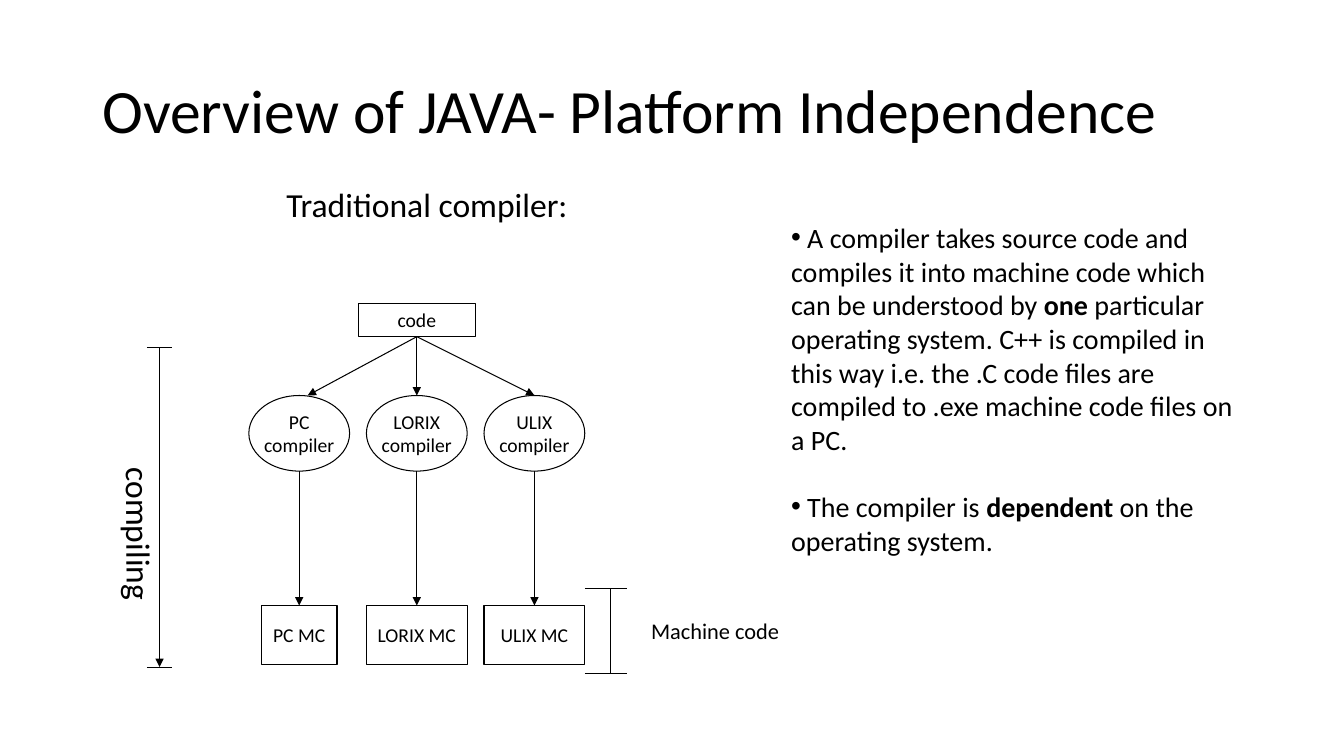
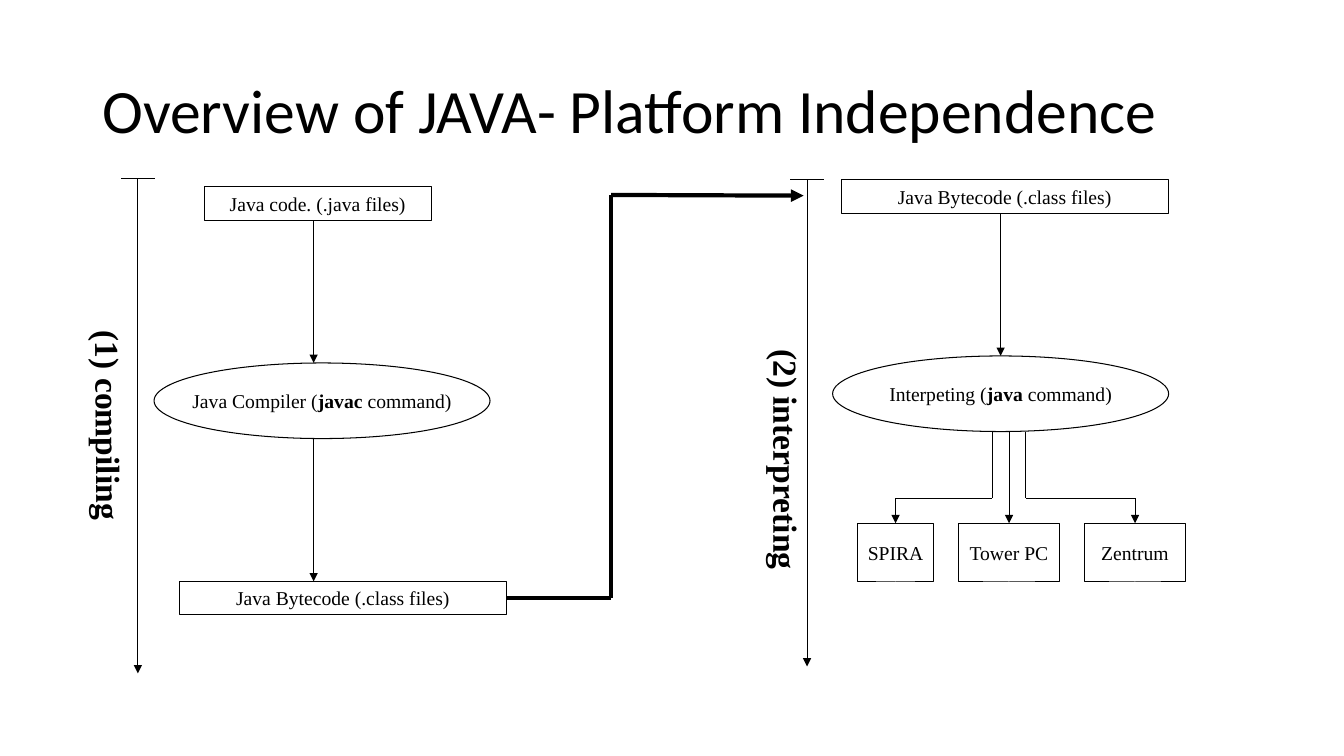
from dataclasses import dataclass, replace
from itertools import pairwise

from lxml.etree import SubElement
from pptx import Presentation
from pptx.dml.color import RGBColor
from pptx.enum.shapes import MSO_CONNECTOR as Link, MSO_SHAPE as Preset
from pptx.enum.text import MSO_ANCHOR as Anchor, PP_ALIGN as Align
from pptx.oxml.ns import qn
from pptx.util import Pt


@dataclass(frozen=True)
class Theme:
    """Colours, fonts, type sizes and line widths, sizes in points."""

    ink: RGBColor = RGBColor(0, 0, 0)
    paper: RGBColor = RGBColor(255, 255, 255)
    sans: str = "Calibri"
    serif: str = "Times New Roman"
    title: float = 44
    heading: float = 24
    body: float = 20
    note: float = 16
    node: float = 14
    thin: float = 0.75
    thick: float = 3


@dataclass(frozen=True)
class Box:
    """A rectangle in points."""

    left: float
    top: float
    width: float
    height: float

    @property
    def middle(self):
        """Horizontal centre."""
        return self.left + self.width / 2

    @property
    def right(self):
        """Right edge."""
        return self.left + self.width

    @property
    def bottom(self):
        """Bottom edge."""
        return self.top + self.height

    def inner(self, left, top, width, height):
        """Return a box placed relative to this one."""
        return Box(self.left + left, self.top + top, width, height)

    def lengths(self):
        """Return the four lengths for python-pptx."""
        return Pt(self.left), Pt(self.top), Pt(self.width), Pt(self.height)


THEME = Theme()
TITLE = "Overview of JAVA- Platform Independence"
BYTECODE = "Java Bytecode (.class files)"
SYSTEMS = ("PC", "LORIX", "ULIX")
PROCESSORS = ("SPIRA", "Tower PC", "Zentrum")
EXPLANATION = (
    " A compiler takes source code and compiles it into machine code which can be "
    "understood by **one** particular operating system. C++ is compiled in this way i.e. "
    "the .C code files are compiled to .exe machine code files on a PC.\n"
    " The compiler is **dependent** on the operating system."
)


def write(shape, text, size=THEME.node, font=THEME.sans, bold=False, align=Align.LEFT,
          anchor=Anchor.TOP, wrap=False, spacing=None, gap=0, bullet=None):
    """Fill a shape with lines of text, where ** switches bold on and off."""
    frame = shape.text_frame
    frame.word_wrap = wrap
    frame.vertical_anchor = anchor
    for index, line in enumerate(text.split("\n")):
        paragraph = frame.add_paragraph() if index else frame.paragraphs[0]
        paragraph.alignment = align
        paragraph.line_spacing = spacing
        paragraph.space_before = Pt(gap if index else 0)
        if bullet:
            SubElement(paragraph._p.get_or_add_pPr(), qn("a:buFont"), typeface="Arial")
            SubElement(paragraph._p.get_or_add_pPr(), qn("a:buChar"), char=bullet)
        for turn, words in enumerate(line.split("**")):
            run = paragraph.add_run()
            run.text = words
            run.font.size = Pt(size)
            run.font.name = font
            run.font.bold = bold or turn % 2 == 1
            run.font.color.rgb = THEME.ink


def label(slide, box, text, turn=0, **style):
    """Place free text, turned by the given degrees."""
    caption = slide.shapes.add_textbox(*box.lengths())
    caption.rotation = turn
    write(caption, text, **style)


def node(slide, box, text, preset=Preset.RECTANGLE, **style):
    """Draw an outlined diagram node with centred text."""
    shape = slide.shapes.add_shape(preset, *box.lengths())
    shape.shadow.inherit = False
    shape.fill.solid()
    shape.fill.fore_color.rgb = THEME.paper
    shape.line.color.rgb = THEME.ink
    shape.line.width = Pt(THEME.thin)
    write(shape, text, align=Align.CENTER, anchor=Anchor.MIDDLE, **style)


def route(slide, *points, weight=THEME.thin, arrow=True):
    """Join points with straight lines, with an arrowhead at the last one."""
    for start, end in pairwise(points):
        if start == end:
            continue
        link = slide.shapes.add_connector(Link.STRAIGHT, *map(Pt, start + end))
        link.line.color.rgb = THEME.ink
        link.line.width = Pt(weight)
        if arrow and end == points[-1]:
            SubElement(link.line._ln, qn("a:tailEnd"), type="triangle")
        SubElement(link._element.spPr, qn("a:effectLst"))


def span(slide, box, stem, arrow=True, closed=True):
    """Mark a vertical extent by a stem with caps."""
    for level in (box.top, box.bottom)[:2 if closed else 1]:
        route(slide, (box.left, level), (box.right, level), arrow=False)
    axis = box.left + stem
    route(slide, (axis, box.top), (axis, box.bottom), arrow=arrow)


def titled_slide(deck):
    """Add a blank slide with the shared title."""
    slide = deck.slides.add_slide(deck.slide_layouts[6])
    label(slide, Box(66, 28.75, 828, 104.5), TITLE, size=THEME.title,
          anchor=Anchor.MIDDLE, wrap=True, spacing=0.9)
    return slide


def compiler_tree(slide, box):
    """Draw one source compiled separately for each operating system."""
    pitch, column = 84, 72
    source = box.inner((box.width - pitch) / 2, 0, pitch, 24)
    node(slide, source, "code")
    for index, (system, width, shift) in enumerate(zip(SYSTEMS, (54, 72, 72), (6, 0, 0))):
        compiler = box.inner(index * pitch, 66, column, 54)
        machine = box.inner(index * pitch + (column - width) / 2, 216, width, 42)
        node(slide, compiler, f"{system}\ncompiler", Preset.OVAL)
        node(slide, machine, f"{system} MC")
        route(slide, (source.middle, source.bottom), (compiler.middle + shift, compiler.top))
        route(slide, (compiler.middle, compiler.bottom), (machine.middle, machine.top))


def stage(slide, box, source, command, axis):
    """Draw a source feeding a command oval and return the oval's box."""
    name, left, width = source
    file = box.inner(left, 0, width, 24)
    oval = box.inner(0, 126, box.width, 54)
    node(slide, file, name, font=THEME.serif)
    route(slide, (box.left + axis, file.bottom), (box.left + axis, oval.top))
    node(slide, oval, command, Preset.OVAL, font=THEME.serif)
    return oval


def compiling_stage(slide, box):
    """Draw Java code compiled into bytecode and return the bytecode's box."""
    axis = 114
    compiler = stage(slide, box, ("Java code. (.java files)", 36, 162),
                     "Java Compiler (**javac** command)", axis)
    bytecode = box.inner(18, 282, 234, 24)
    route(slide, (box.left + axis, compiler.bottom), (box.left + axis, bytecode.top))
    node(slide, bytecode, BYTECODE, font=THEME.serif)
    return bytecode


def interpreting_stage(slide, box):
    """Draw bytecode interpreted for each processor."""
    interpreter = stage(slide, box, (BYTECODE, 6, 234), "Interpeting (**java** command)", 120)
    columns = zip(PROCESSORS, (18, 90, 180), (54, 72, 72), (-12, 0, 12))
    for processor, left, width, shift in columns:
        target = box.inner(left, 245.5, width, 42)
        trunk = interpreter.middle + shift + 6
        bend = target.top - 18
        node(slide, target, processor, font=THEME.serif)
        route(slide, (trunk, interpreter.bottom), (trunk, bend),
              (target.middle, bend), (target.middle, target.top))


def traditional_slide(deck):
    """Build the slide on traditional compilers."""
    slide = titled_slide(deck)
    label(slide, Box(197.5, 127.5, 237.5, 36), "Traditional compiler:",
          size=THEME.heading, wrap=True)
    compiler_tree(slide, Box(177.75, 216.5, 240, 258))
    span(slide, Box(105, 248.5, 18, 228), stem=9)
    label(slide, Box(44, 364.5, 111.5, 36), "compiling", turn=89.6, size=THEME.heading)
    label(slide, Box(558, 154, 336, 250), EXPLANATION, size=THEME.body,
          wrap=True, gap=24, bullet="•")
    span(slide, Box(417.75, 420.5, 30, 60.5), stem=18, arrow=False)
    label(slide, Box(458, 437, 107, 26.5), "Machine code", size=THEME.note)


def java_slide(deck):
    """Build the slide on compiling and interpreting Java."""
    slide = titled_slide(deck)
    bytecode = compiling_stage(slide, Box(110, 133.25, 240, 306))
    interpreting_stage(slide, Box(594.75, 128.25, 240, 288))
    first = Box(86.5, 127.25, 24, 353.75)
    for extent in (first, replace(first, left=564.5, top=128.25, height=347.75)):
        span(slide, extent, stem=12, closed=False)
    caption = dict(size=THEME.heading, font=THEME.serif, bold=True)
    label(slide, Box(3, 286, 150, 36), "(1) compiling", turn=89.6, **caption)
    label(slide, Box(476, 310.25, 172, 36), "(2) interpreting", turn=90, wrap=True, **caption)
    level, corner, entry = bytecode.top + 11.75, 436.5, 139.25
    route(slide, (bytecode.right, level), (corner, level), (corner, entry),
          (574, entry + 0.5), weight=THEME.thick)


def main():
    """Build and save the deck."""
    deck = Presentation()
    deck.slide_width, deck.slide_height = Pt(960), Pt(540)
    traditional_slide(deck)
    java_slide(deck)
    deck.save("out.pptx")


main()
